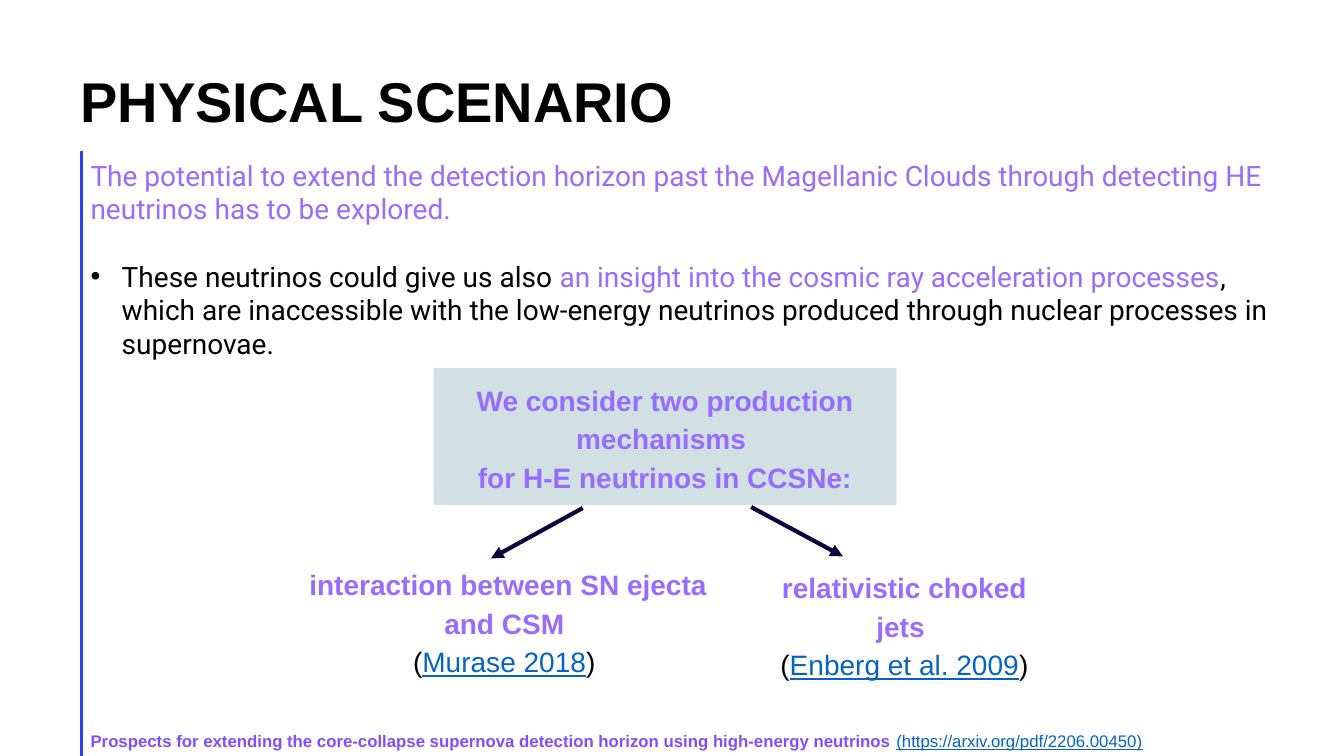
import pptx
import pptx.dml.color
import pptx.enum.shapes
import pptx.enum.text
import pptx.oxml
import pptx.oxml.ns
import pptx.util

COLORS = {"black": "000000", "violet": "976CFF", "deep_violet": "814DFF", "link": "0563C1",
          "panel": "D0E0E3", "arrow": "10013F", "rule": "2A40F5"}
FORMATS = {
    "title": {"name": "Arial", "size": 40, "bold": True, "color": "black"},
    "body": {"name": "Roboto", "size": 20, "color": "black"},
    "body_accent": {"name": "Roboto", "size": 20, "color": "violet"},
    "label": {"name": "Arial", "size": 20, "bold": True, "color": "violet"},
    "cite": {"name": "Arial", "size": 20, "color": "black"},
    "cite_link": {"name": "Arial", "size": 20, "underline": True, "color": "link"},
    "source": {"name": "Arial", "size": 12, "bold": True, "color": "deep_violet"},
    "source_link": {"name": "Arial", "size": 12, "underline": True, "color": "link"},
}
CENTERED = {"alignment": pptx.enum.text.PP_ALIGN.CENTER, "line_spacing": 1.15}


def rgb(name):
    return pptx.dml.color.RGBColor.from_string(COLORS[name])


class ScenarioSlide:
    """Places elements on a grid of 100 columns by 100 rows."""

    def __init__(self, deck):
        self.page = deck.slides.add_slide(deck.slide_layouts[6])
        self.column = deck.slide_width / 100
        self.row = deck.slide_height / 100

    def place(self, *cells):
        """Turn alternating column and row counts into lengths."""
        return [round(cell * unit) for cell, unit in zip(cells, (self.column, self.row) * 2)]

    def add_paragraphs(self, box, paragraphs, inset=None, layout=None, grow=True):
        """Fill a box with paragraphs, each a list of (text, format name) spans."""
        frame = box.text_frame
        frame.word_wrap = True
        frame.vertical_anchor = pptx.enum.text.MSO_ANCHOR.TOP
        if grow:
            frame.auto_size = pptx.enum.text.MSO_AUTO_SIZE.SHAPE_TO_FIT_TEXT
        if inset is not None:
            for side in ("left", "top", "right", "bottom"):
                setattr(frame, f"margin_{side}", pptx.util.Inches(inset))
        for index, spans in enumerate(paragraphs):
            para = frame.add_paragraph() if index else frame.paragraphs[0]
            for attribute, value in (layout or {}).items():
                setattr(para, attribute, value)
            for text, style in spans:
                self.add_span(para, text, FORMATS[style])
        return frame

    def add_span(self, para, text, style):
        span = para.add_run()
        span.text = text
        for attribute, value in style.items():
            if attribute == "color":
                span.font.color.rgb = rgb(value)
            else:
                setattr(span.font, attribute, pptx.util.Pt(value) if attribute == "size" else value)

    def text(self, cells, paragraphs, **options):
        box = self.page.shapes.add_textbox(*self.place(*cells))
        return self.add_paragraphs(box, paragraphs, **options)

    def panel(self, cells, paragraphs, fill, **options):
        box = self.page.shapes.add_shape(pptx.enum.shapes.MSO_SHAPE.RECTANGLE, *self.place(*cells))
        box.shadow.inherit = False
        box.fill.solid()
        box.fill.fore_color.rgb = rgb(fill)
        box.line.fill.background()
        self.add_paragraphs(box, paragraphs, **options)

    def line(self, cells, color, width, arrow=False):
        line = self.page.shapes.add_connector(
            pptx.enum.shapes.MSO_CONNECTOR.STRAIGHT, *self.place(*cells))
        line.line.color.rgb = rgb(color)
        line.line.width = pptx.util.Pt(width)
        namespace = pptx.oxml.ns.nsdecls("a")
        properties = line._element.spPr
        if arrow:
            outline = properties.find(pptx.oxml.ns.qn("a:ln"))
            outline.append(pptx.oxml.parse_xml(f'<a:tailEnd {namespace} type="triangle"/>'))
        properties.append(pptx.oxml.parse_xml(f"<a:effectLst {namespace}/>"))


def add_bullet(para, indent):
    """Give a paragraph a hanging bullet."""
    properties = para._p.get_or_add_pPr()
    properties.set("marL", str(pptx.util.Inches(indent)))
    properties.set("indent", str(-pptx.util.Inches(indent)))
    namespace = pptx.oxml.ns.nsdecls("a")
    for tag in (f'<a:buFont {namespace} typeface="Arial"/>', f'<a:buChar {namespace} char="•"/>'):
        properties.append(pptx.oxml.parse_xml(tag))


def main():
    deck = pptx.Presentation()
    deck.slide_width = pptx.util.Inches(13.33)
    deck.slide_height = pptx.util.Inches(7.5)
    slide = ScenarioSlide(deck)

    slide.line((6.08, 20, 6.08, 100), "rule", 2)
    slide.text((6, 96, 83.12, 4), [[
        ("Prospects for extending the core-collapse supernova detection horizon "
         "using high-energy neutrinos ", "source"),
        ("(https://arxiv.org/pdf/2206.00450)", "source_link")]])

    body = slide.text((6, 20.27, 91.67, 31.87), [
        [("The potential to extend the detection horizon past the Magellanic Clouds "
          "through detecting HE neutrinos has to be explored.", "body_accent")],
        [("These neutrinos could give us also ", "body"),
         ("an insight into the cosmic ray acceleration processes", "body_accent"),
         (", which are inaccessible with the low-energy neutrinos produced through "
          "nuclear processes in supernovae.", "body")]])
    insight = body.paragraphs[1]
    insight.space_before = pptx.util.Pt(24)
    add_bullet(insight, 0.31)

    slide.panel((32.26, 48.67, 34.43, 18.13), [
        [("We consider two production mechanisms ", "label")],
        [("for H-E neutrinos in CCSNe:", "label")]], "panel", inset=0.1, layout=CENTERED)

    mechanisms = [
        ((43.36, 67.2, 36.53, 73.87), (21.91, 73.07, 31.81, 18.13),
         "interaction between SN ejecta and CSM ", "Murase 2018", ") "),
        ((55.89, 67.07, 62.72, 73.6), (55.44, 73.47, 23.71, 13.07),
         "relativistic choked jets ", "Enberg et al. 2009", ")"),
    ]
    for arrow, cells, label, citation, closing in mechanisms:
        slide.line(arrow, "arrow", 3, arrow=True)
        slide.text(cells, [
            [(label, "label")],
            [("(", "cite"), (citation, "cite_link"), (closing, "cite")]],
            inset=0.1, layout=CENTERED)

    title = slide.text((6, -3.87, 64.67, 35.6), [[("PHYSICAL SCENARIO", "title")]],
                       inset=0, layout={"line_spacing": pptx.util.Pt(40)}, grow=False)
    title.vertical_anchor = pptx.enum.text.MSO_ANCHOR.MIDDLE

    deck.save("out.pptx")


if __name__ == "__main__":
    main()
